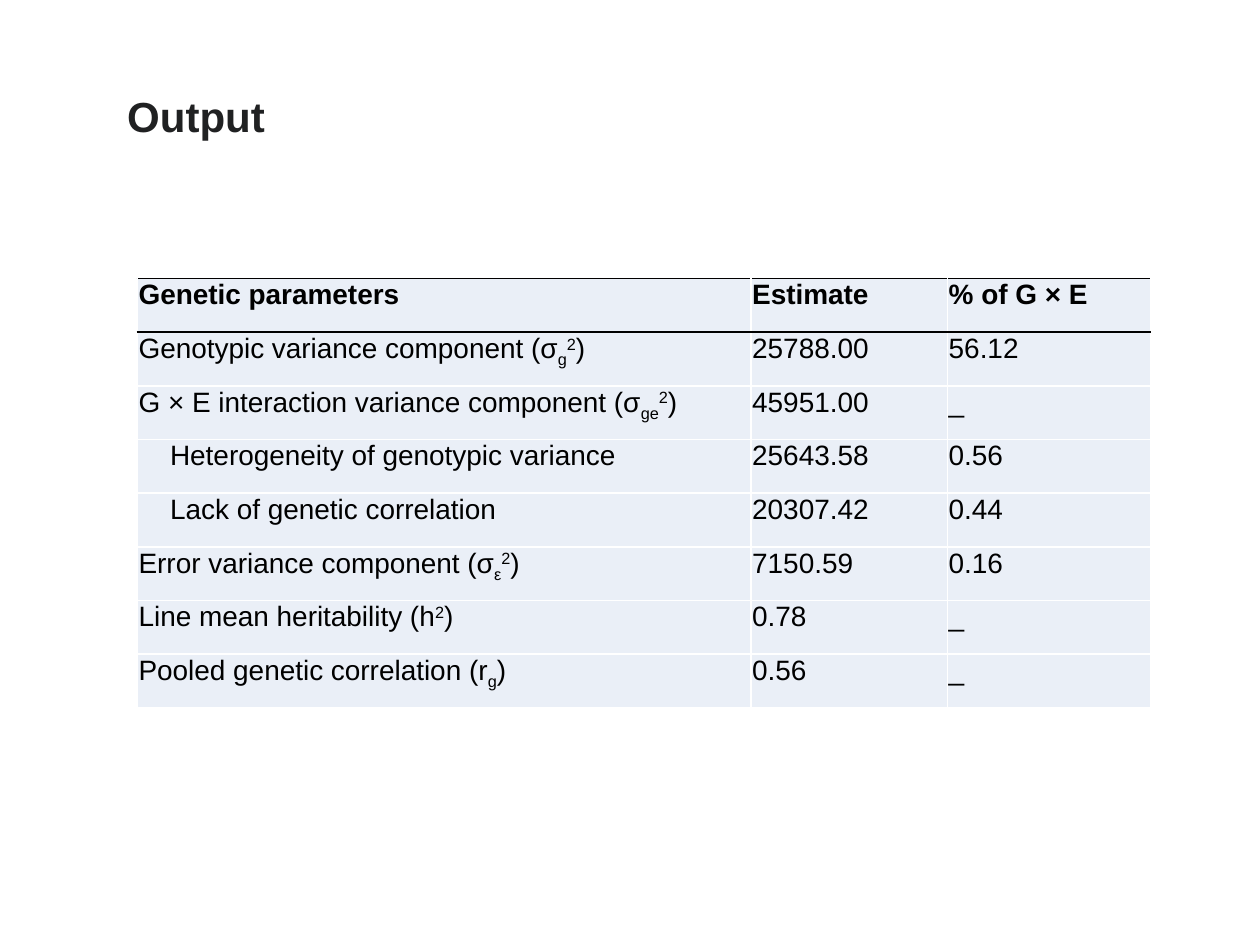
from lxml.etree import SubElement
from pptx import Presentation
from pptx.dml.color import RGBColor
from pptx.enum.text import MSO_ANCHOR, MSO_AUTO_SIZE, PP_ALIGN
from pptx.oxml.ns import qn
from pptx.util import Inches, Pt

COLORS = {"title": "202122", "text": "000000", "rule": "000000",
          "grid": "FFFFFF", "cell": "EAEFF7"}
FONT = "Arial"
SUB, SUP = -25000, 30000
INDENT = 0.25
COLUMN_WIDTHS = [4.87, 1.56, 1.61]

# Label parts with baseline shifts, indent level, estimate, share of G × E
HEADER = ([("Genetic parameters", 0)], 0, "Estimate", "% of G × E")
PARAMETERS = [
    ([("Genotypic variance component (σ", 0), ("g", SUB), ("2", SUP), (")", 0)],
     0, "25788.00", "56.12"),
    ([("G × E interaction variance component (σ", 0), ("ge", SUB), ("2", SUP), (")", 0)],
     0, "45951.00", "_"),
    ([("Heterogeneity of genotypic variance", 0)], 1, "25643.58", "0.56"),
    ([("Lack of genetic correlation", 0)], 1, "20307.42", "0.44"),
    ([("Error variance component (σ", 0), ("ε", SUB), ("2", SUP), (")", 0)],
     0, "7150.59", "0.16"),
    ([("Line mean heritability (h", 0), ("2", SUP), (")", 0)], 0, "0.78", "_"),
    ([("Pooled genetic correlation (r", 0), ("g", SUB), (")", 0)], 0, "0.56", "_"),
]


def format_run(r, size, color, bold):
    r.font.name = FONT
    r.font.size = Pt(size)
    r.font.bold = bold
    r.font.color.rgb = RGBColor.from_string(COLORS[color])


def add_title(s, text):
    title = s.shapes.title
    title.left, title.top = Inches(0.91), Inches(0.67)
    title.width, title.height = Inches(1.53), Inches(0.5)
    tf = title.text_frame
    tf.text = text
    tf.word_wrap = False
    tf.auto_size = MSO_AUTO_SIZE.NONE
    tf.vertical_anchor = MSO_ANCHOR.TOP
    p = tf.paragraphs[0]
    p.alignment = PP_ALIGN.LEFT
    format_run(p.runs[0], 24, "title", True)


def set_borders(cell, top, bottom):
    """Draw the four cell edges; call before the fill, which must follow them."""
    tc_pr = cell._tc.get_or_add_tcPr()
    edges = {"lnL": "grid", "lnR": "grid", "lnT": top, "lnB": bottom}
    for tag, color in edges.items():
        ln = SubElement(tc_pr, qn(f"a:{tag}"), w=str(Pt(1)))
        fill = SubElement(ln, qn("a:solidFill"))
        SubElement(fill, qn("a:srgbClr"), val=COLORS[color])


def fill_cell(cell, parts, level, row):
    set_borders(cell, "rule" if row < 2 else "grid", "rule" if row == 0 else "grid")
    cell.fill.solid()
    cell.fill.fore_color.rgb = RGBColor.from_string(COLORS["cell"])
    cell.margin_left = Inches(0.01 + level * INDENT)
    cell.margin_right = cell.margin_top = Inches(0.01)
    cell.margin_bottom = 0
    p = cell.text_frame.paragraphs[0]
    for text, baseline in parts:
        r = p.add_run()
        r.text = text
        format_run(r, 16, "text", row == 0)
        if baseline:
            r._r.get_or_add_rPr().set("baseline", str(baseline))


def add_parameter_table(s):
    rows = [HEADER] + PARAMETERS
    table = s.shapes.add_table(len(rows), len(COLUMN_WIDTHS), Inches(1.09), Inches(2.21),
                               Inches(sum(COLUMN_WIDTHS)), Inches(3.41)).table
    for column, width in zip(table.columns, COLUMN_WIDTHS):
        column.width = Inches(width)
    for i, (label, level, estimate, share) in enumerate(rows):
        fill_cell(table.cell(i, 0), label, level, i)
        fill_cell(table.cell(i, 1), [(estimate, 0)], 0, i)
        fill_cell(table.cell(i, 2), [(share, 0)], 0, i)


def main():
    prs = Presentation()
    prs.slide_width, prs.slide_height = Inches(10), Inches(7.5)
    s = prs.slides.add_slide(prs.slide_layouts[5])
    add_title(s, "Output")
    add_parameter_table(s)
    prs.save("out.pptx")


if __name__ == "__main__":
    main()
